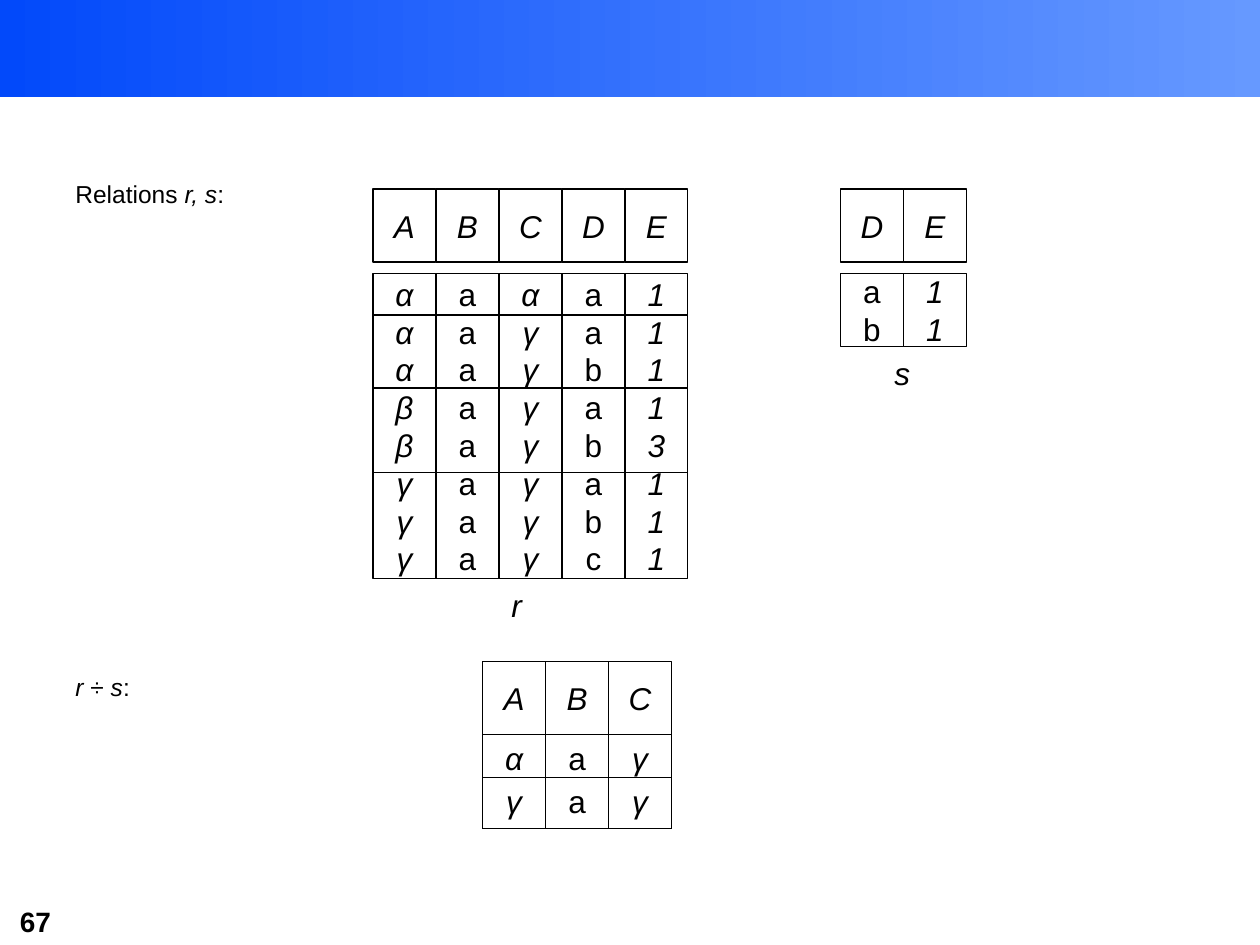
from lxml import etree
from pptx import Presentation
from pptx.dml.color import RGBColor
from pptx.enum.shapes import MSO_CONNECTOR, MSO_SHAPE
from pptx.enum.text import MSO_ANCHOR, PP_ALIGN
from pptx.oxml.ns import qn
from pptx.util import Inches, Pt

COLORS = {"ink": "000000", "paper": "FFFFFF", "band_left": "0249FA", "band_right": "6699FF"}
FONT = "Arial"
COLUMN_WIDTH = 0.5
HEADER_HEIGHT = 0.58
RESULT_ROW_HEIGHT = 0.34

RELATIONS = [
    {"left": 2.96, "top": 1.5, "names": "ABCDE", "body_top": 2.17, "body_height": 2.42,
     "rows": ["αaαa1", "αaγa1", "αaγb1", "βaγa1", "βaγb3", "γaγa1", "γaγb1", "γaγc1"]},
    {"left": 6.67, "top": 1.5, "names": "DE", "body_top": 2.17, "body_height": 0.58,
     "rows": ["a1", "b1"]},
    {"left": 3.83, "top": 5.25, "names": "ABC", "rows": []},
]
RESULT_ROWS = ["αaγ", "γaγ"]
RULES = [3.75, 3.08, 2.5]
CAPTIONS = [("r", 3.96, 4.6, 0.28), ("s", 7, 2.76, 0.32)]
LABELS = [
    (1.42, 2.33, [("Relations ", False), ("r, s", True), (":", False)]),
    (5.33, 1.42, [("r ", True), ("÷ ", False), ("s", True), (":", False)]),
]
PAGE_NUMBER = "67"


def color(name):
    return RGBColor.from_string(COLORS[name])


def style(paragraph, size, italic=None, bold=None):
    font = paragraph.font
    font.name, font.size, font.italic, font.bold = FONT, Pt(size), italic, bold
    font.color.rgb = color("ink")


def write_values(frame, values):
    frame.text = "\n".join(values)
    for paragraph in frame.paragraphs:
        paragraph.alignment = PP_ALIGN.CENTER
        style(paragraph, 18, italic=paragraph.text not in "abc")


def add_rectangle(slide, left, top, width, height):
    shape = slide.shapes.add_shape(
        MSO_SHAPE.RECTANGLE, Inches(left), Inches(top), Inches(width), Inches(height))
    shape.shadow.inherit = False
    return shape


def add_band(slide):
    band = add_rectangle(slide, 0, 0, 10, 0.77)
    band.line.fill.background()
    band.fill.gradient()
    band.fill.gradient_angle = 0
    for stop, position, name in zip(band.fill.gradient_stops, (0, 1), ("band_left", "band_right")):
        stop.position = position
        stop.color.rgb = color(name)


def add_box(slide, left, top, height, values):
    box = add_rectangle(slide, left, top, COLUMN_WIDTH, height)
    box.fill.solid()
    box.fill.fore_color.rgb = color("paper")
    box.line.color.rgb = color("ink")
    box.line.width = Pt(0.75)
    box.text_frame.word_wrap = False
    box.text_frame.vertical_anchor = MSO_ANCHOR.MIDDLE
    write_values(box.text_frame, values)


def add_relation(slide, relation):
    for index, name in enumerate(relation["names"]):
        left = relation["left"] + index * COLUMN_WIDTH
        add_box(slide, left, relation["top"], HEADER_HEIGHT, [name])
        if relation["rows"]:
            values = [row[index] for row in relation["rows"]]
            add_box(slide, left, relation["body_top"], relation["body_height"], values)


def add_text(slide, left, top, width, height, wrap=True):
    frame = slide.shapes.add_textbox(
        Inches(left), Inches(top), Inches(width), Inches(height)).text_frame
    frame.word_wrap = wrap
    return frame


def add_label(slide, top, width, runs):
    paragraph = add_text(slide, 0.5, top, width, 0.36).paragraphs[0]
    paragraph.line_spacing = 0.8
    style(paragraph, 14)
    for text, italic in runs:
        run = paragraph.add_run()
        run.text = text
        run.font.italic = italic


def add_caption(slide, text, left, top, width):
    frame = add_text(slide, left, top, width, 0.4, wrap=False)
    frame.vertical_anchor = MSO_ANCHOR.MIDDLE
    write_values(frame, [text])


def border_cell(cell):
    properties = cell._tc.get_or_add_tcPr()
    for index, side in enumerate(("lnL", "lnR", "lnT", "lnB")):
        line = etree.Element(qn(f"a:{side}"), w=str(Pt(0.4)))
        fill = etree.SubElement(line, qn("a:solidFill"))
        etree.SubElement(fill, qn("a:srgbClr"), val=COLORS["ink"])
        properties.insert(index, line)


def add_result_row(slide, left, top, values):
    table = slide.shapes.add_table(
        1, len(values), Inches(left), Inches(top),
        Inches(COLUMN_WIDTH * len(values)), Inches(RESULT_ROW_HEIGHT)).table
    table.first_row = table.horz_banding = False
    for cell, value in zip(table.iter_cells(), values):
        cell.margin_left = cell.margin_right = Inches(0.02)
        cell.vertical_anchor = MSO_ANCHOR.MIDDLE
        cell.fill.solid()
        cell.fill.fore_color.rgb = color("paper")
        border_cell(cell)
        write_values(cell.text_frame, [value])


def add_rule(slide, left, right, y):
    rule = slide.shapes.add_connector(
        MSO_CONNECTOR.STRAIGHT, Inches(left), Inches(y), Inches(right), Inches(y))
    rule.line.color.rgb = color("ink")
    rule.line.width = Pt(0.75)
    etree.SubElement(rule._element.spPr, qn("a:effectLst"))


def main():
    presentation = Presentation()
    presentation.slide_width, presentation.slide_height = Inches(10), Inches(7.5)
    slide = presentation.slides.add_slide(presentation.slide_layouts[6])

    add_band(slide)
    number = add_text(slide, 0.06, 7.13, 1.22, 0.37).paragraphs[0]
    number.text = PAGE_NUMBER
    style(number, 16, bold=True)

    for relation in RELATIONS:
        add_relation(slide, relation)
    for label in LABELS:
        add_label(slide, *label)
    for caption in CAPTIONS:
        add_caption(slide, *caption)

    result = RELATIONS[-1]
    for index, values in enumerate(RESULT_ROWS):
        top = result["top"] + HEADER_HEIGHT + index * RESULT_ROW_HEIGHT
        add_result_row(slide, result["left"], top, values)

    left = RELATIONS[0]["left"]
    right = left + COLUMN_WIDTH * len(RELATIONS[0]["names"])
    for y in RULES:
        add_rule(slide, left, right, y)

    presentation.save("out.pptx")


if __name__ == "__main__":
    main()
